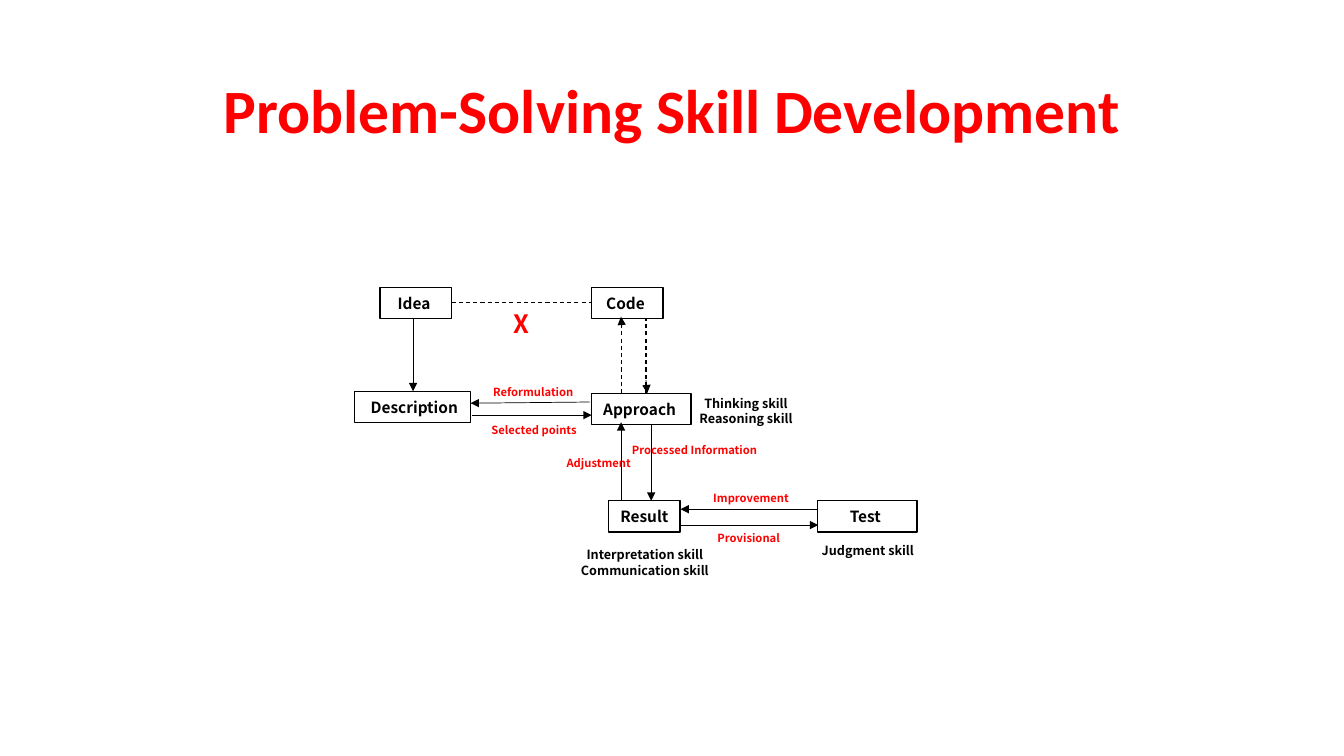
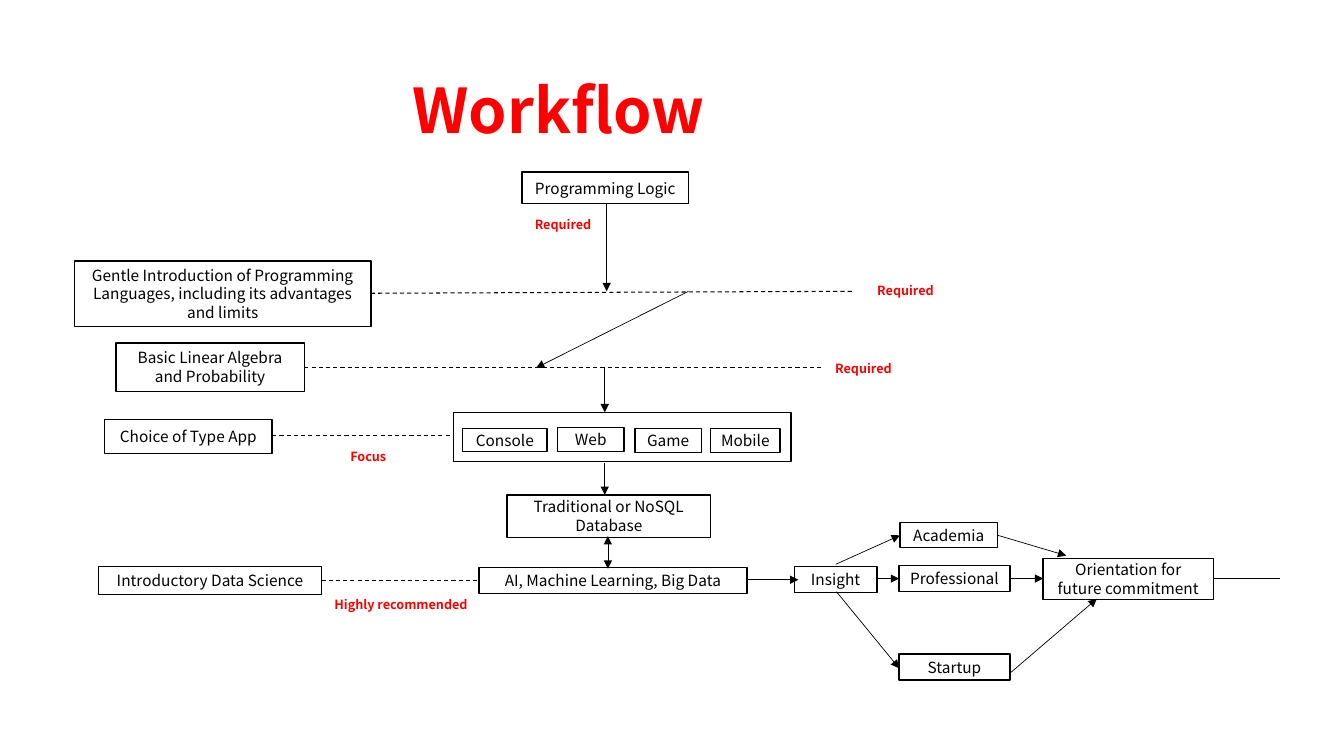
from dataclasses import dataclass

from lxml.etree import SubElement
from pptx import Presentation
from pptx.dml.color import RGBColor
from pptx.enum.dml import MSO_LINE
from pptx.enum.shapes import MSO_CONNECTOR, MSO_SHAPE
from pptx.enum.text import MSO_ANCHOR, PP_ALIGN
from pptx.oxml.ns import qn
from pptx.slide import Slide
from pptx.text.text import TextFrame
from pptx.util import Cm, Pt

BLACK = RGBColor(0x00, 0x00, 0x00)
RED = RGBColor(0xFF, 0x00, 0x00)
WHITE = RGBColor(0xFF, 0xFF, 0xFF)
DIAGRAM_FONT = "Noto Sans CJK JP"
HEADING_FONT = "Calibri"


@dataclass(frozen=True)
class Box:
    """An outlined step of a diagram, measured in centimetres."""

    text: str
    left: float
    top: float
    width: float
    height: float = 0.79
    bold: bool = False


@dataclass(frozen=True)
class Label:
    """A bold caption beside a step or a link, measured in centimetres."""

    text: str
    left: float
    top: float
    width: float = 2.9
    height: float = 0.76
    size: float = 8
    color: RGBColor = RED


@dataclass(frozen=True)
class Link:
    """A straight link between two points, measured in centimetres."""

    x1: float
    y1: float
    x2: float
    y2: float
    dashed: bool = False
    head: bool = False
    tail: bool = True


SKILL_STEPS = [
    Box("Idea ", 9.58, 7.24, 1.8, bold=True),
    Box("Approach ", 14.91, 9.91, 2.51, bold=True),
    Box("Code ", 14.91, 7.24, 1.8, bold=True),
    Box(" Description", 8.94, 9.86, 2.92, bold=True),
    Box("Result ", 15.34, 12.62, 1.8, bold=True),
    Box("Test ", 20.6, 12.62, 2.51, bold=True),
]
SKILL_LABELS = [
    Label("X", 12.01, 7.8, 2.26, 0.71, size=18),
    Label("Thinking skill\nReasoning skill", 17.35, 9.91, height=0.91, size=9, color=BLACK),
    Label("Judgment skill", 20.42, 13.41, height=0.91, size=9, color=BLACK),
    Label("Interpretation skill\nCommunication skill", 14.27, 13.54, 3.96, 1.27, 9, BLACK),
    Label("Improvement", 17.48, 12.17),
    Label("Reformulation", 11.99, 9.5),
    Label("Adjustment", 13.87, 11.28, 2.44),
    Label("Provisional", 17.42, 13.18),
    Label("Processed Information", 15.65, 10.97, 3.71),
    Label("Selected points", 12.01, 10.46),
]
SKILL_LINKS = [
    Link(11.38, 7.62, 14.91, 7.62, dashed=True, tail=False),
    Link(10.41, 8.03, 10.41, 9.86),
    Link(14.86, 10.13, 11.86, 10.16),
    Link(15.67, 9.91, 15.67, 8.03, dashed=True, tail=False),
    Link(11.89, 10.46, 14.91, 10.46),
    Link(16.28, 9.91, 16.28, 8.03, dashed=True, tail=False),
    Link(17.15, 13.23, 20.62, 13.23),
    Link(15.67, 8.23, 15.65, 7.98),
    Link(16.28, 9.58, 16.31, 9.91),
    Link(15.65, 12.62, 15.65, 10.64),
    Link(16.41, 10.69, 16.41, 12.62),
    Link(20.6, 12.83, 17.15, 12.83),
]

WORKFLOW_STEPS = [
    Box("Programming Logic", 13.16, 4.34, 4.19),
    Box(
        "Gentle Introduction of Programming Languages, including its advantages and limits",
        1.88, 6.58, 7.47, 1.65,
    ),
    Box("Orientation for future commitment", 26.29, 14.07, 4.29, 1.04),
    Box("Basic Linear Algebra and Probability", 2.92, 8.64, 4.75, 1.22),
    Box("Choice of Type App", 2.64, 10.57, 4.22, 0.86),
    Box("Introductory Data Science", 2.49, 14.27, 5.61, 0.71),
    Box("AI, Machine Learning, Big Data", 12.07, 14.3, 6.76, 0.66),
    Box("Academia", 22.68, 13.16, 2.46, 0.64),
    Box("Professional", 22.66, 14.25, 2.79, 0.66),
    Box("Startup", 22.66, 16.48, 2.79, 0.66),
    Box("Insight", 20.02, 14.27, 2.08, 0.66),
    Box("", 11.43, 10.39, 8.51, 1.24),
    Box("Console", 11.66, 10.8, 2.13, 0.58),
    Box("Web", 14.05, 10.77, 1.68, 0.61),
    Box("Game", 16, 10.8, 1.68, 0.61),
    Box("Mobile", 17.91, 10.8, 1.75, 0.61),
    Box("Traditional or NoSQL Database", 12.78, 12.47, 5.13, 1.07),
]
WORKFLOW_LABELS = [
    Label("Required", 21.69, 6.96, 2.26, 0.71, size=9),
    Label("Required", 20.73, 8.97, 2.06, 0.61, size=9),
    Label("Required", 13.16, 5.26, 2.06, 0.81, size=9),
    Label("Focus", 8.15, 11.15, 2.26, 0.71, size=9),
    Label("Highly recommended", 8.15, 14.78, 3.91, 0.91, size=9),
]
WORKFLOW_LINKS = [
    Link(9.35, 7.39, 21.54, 7.34, dashed=True, tail=False),
    Link(7.67, 9.25, 20.73, 9.25, dashed=True, tail=False),
    Link(15.29, 5.13, 15.29, 7.34),
    Link(17.35, 7.34, 13.51, 9.27),
    Link(15.24, 9.25, 15.24, 10.39),
    Link(6.86, 10.97, 11.35, 10.97, dashed=True, tail=False),
    Link(8.1, 14.63, 12.07, 14.63, dashed=True, tail=False),
    Link(15.24, 11.66, 15.24, 12.47),
    Link(15.32, 13.51, 15.32, 14.33, head=True),
    Link(18.82, 14.61, 20.12, 14.61),
    Link(21.06, 14.22, 22.68, 13.49),
    Link(22.12, 14.58, 22.66, 14.58),
    Link(21.08, 14.91, 22.66, 16.84),
    Link(25.15, 13.49, 26.87, 14),
    Link(30.58, 14.58, 32.26, 14.58, tail=False),
    Link(25.48, 16.94, 27.64, 15.09),
    Link(25.48, 14.58, 26.29, 14.58),
]


def write_text(
    frame: TextFrame, text: str, size: float, color: RGBColor, bold: bool, font: str = DIAGRAM_FONT
) -> None:
    """Fill a frame with centred paragraphs, one for each line of text."""
    frame.word_wrap = True
    frame.vertical_anchor = MSO_ANCHOR.MIDDLE
    frame.text = text
    for paragraph in frame.paragraphs:
        paragraph.alignment = PP_ALIGN.CENTER
        paragraph.font.name = font
        paragraph.font.size = Pt(size)
        paragraph.font.bold = bold
        paragraph.font.color.rgb = color


def draw_box(slide: Slide, box: Box) -> None:
    """Draw a white step with a black outline."""
    step = slide.shapes.add_shape(
        MSO_SHAPE.RECTANGLE, Cm(box.left), Cm(box.top), Cm(box.width), Cm(box.height)
    )
    step.shadow.inherit = False
    step.fill.solid()
    step.fill.fore_color.rgb = WHITE
    step.line.color.rgb = BLACK
    step.line.width = Pt(1)
    if box.text:
        write_text(step.text_frame, box.text, 11, BLACK, box.bold)


def draw_label(slide: Slide, label: Label) -> None:
    """Draw a bold caption without an outline."""
    caption = slide.shapes.add_textbox(
        Cm(label.left), Cm(label.top), Cm(label.width), Cm(label.height)
    )
    frame = caption.text_frame
    frame.margin_left = frame.margin_right = 0
    write_text(frame, label.text, label.size, label.color, True)


def draw_link(slide: Slide, link: Link) -> None:
    """Draw a thin link with its dashes and arrowheads."""
    connector = slide.shapes.add_connector(
        MSO_CONNECTOR.STRAIGHT, Cm(link.x1), Cm(link.y1), Cm(link.x2), Cm(link.y2)
    )
    connector.line.color.rgb = BLACK
    connector.line.width = Pt(0.75 if link.dashed else 0.5)
    if link.dashed:
        connector.line.dash_style = MSO_LINE.DASH
    outline = connector.line._get_or_add_ln()
    for tag, shown in (("a:headEnd", link.head), ("a:tailEnd", link.tail)):
        if shown:
            SubElement(outline, qn(tag), type="triangle")
    SubElement(connector._element.spPr, qn("a:effectLst"))


def add_diagram(
    deck: Presentation,
    heading: str,
    font: str,
    boxes: list[Box],
    labels: list[Label],
    links: list[Link],
    indent: float = 0,
) -> None:
    """Add a slide with a red title, left-aligned when indented, and a diagram."""
    slide = deck.slides.add_slide(deck.slide_layouts[5])
    title = slide.shapes.title
    title.left, title.top, title.width, title.height = Cm(2.34), Cm(1.02), Cm(29.21), Cm(3.68)
    write_text(title.text_frame, heading, 44, RED, True, font)
    paragraph = title.text_frame.paragraphs[0]
    paragraph.line_spacing = 0.9
    if indent:
        paragraph.alignment = PP_ALIGN.LEFT
        paragraph._p.get_or_add_pPr().set("marL", str(Cm(indent)))
    for box in boxes:
        draw_box(slide, box)
    for label in labels:
        draw_label(slide, label)
    for link in links:
        draw_link(slide, link)


def main() -> None:
    """Build and save the two diagram slides."""
    deck = Presentation()
    deck.slide_width, deck.slide_height = Cm(33.87), Cm(19.05)
    add_diagram(
        deck, "Problem-Solving Skill Development", HEADING_FONT,
        SKILL_STEPS, SKILL_LABELS, SKILL_LINKS,
    )
    add_diagram(
        deck, "Workflow", DIAGRAM_FONT,
        WORKFLOW_STEPS, WORKFLOW_LABELS, WORKFLOW_LINKS, indent=7.8,
    )
    deck.save("out.pptx")


if __name__ == "__main__":
    main()
